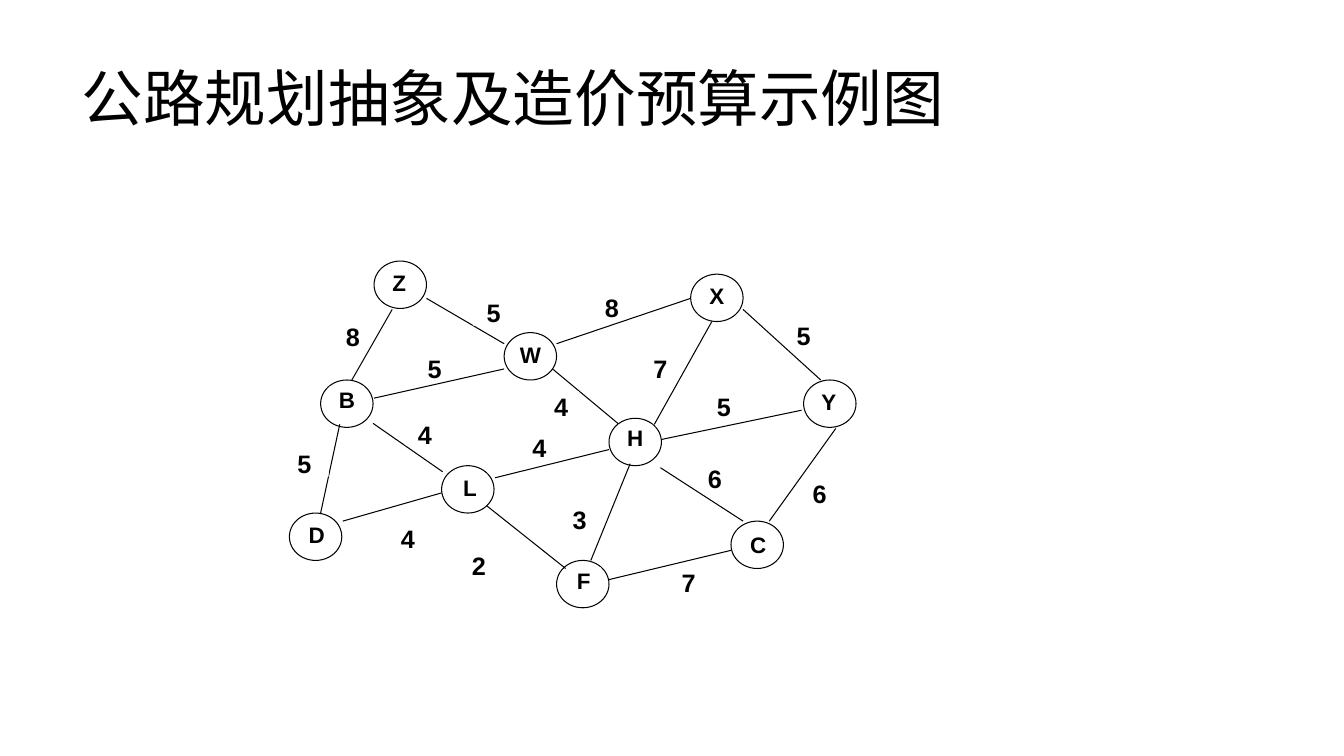
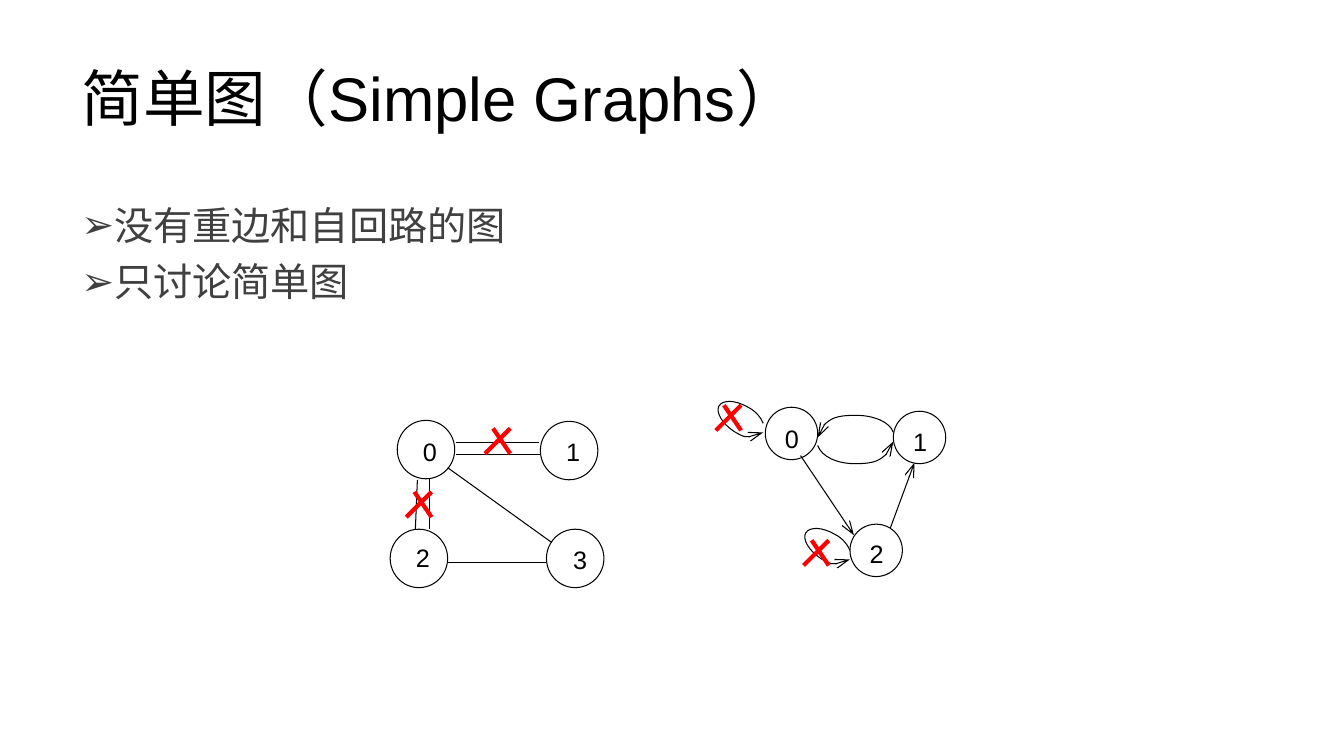
import pptx
import pptx.dml.color
import pptx.enum.shapes
import pptx.enum.text
import pptx.oxml.ns
import pptx.util
import lxml.etree

PX = 9144  # EMU; 100 px to the inch
BLACK, WHITE, GREY, RED = "000000", "FFFFFF", "404040", "FF0000"
rgb = pptx.dml.color.RGBColor.from_string
qn = pptx.oxml.ns.qn
SHAPES = pptx.enum.shapes.MSO_SHAPE
LEFT, CENTER = pptx.enum.text.PP_ALIGN.LEFT, pptx.enum.text.PP_ALIGN.CENTER
ANCHORS = pptx.enum.text.MSO_ANCHOR

TITLE = {"size": 44, "color": BLACK,
         "paragraph": {"alignment": LEFT, "line_spacing": 0.9}}
BULLET = {"size": 28, "color": GREY,
          "paragraph": {"alignment": LEFT, "line_spacing": 0.9,
                        "space_before": pptx.util.Pt(10)}}
CITY = {"size": 16, "color": BLACK, "bold": True, "paragraph": {"alignment": CENTER}}
COST = {**CITY, "size": 18}
VERTEX = {**COST, "bold": False}
LABEL_FRAME = {"margin_left": 0, "margin_right": 0, "margin_top": 0, "margin_bottom": 0,
               "vertical_anchor": ANCHORS.TOP, "word_wrap": True}


def write(paragraph, text, style):
    run = paragraph.add_run()
    run.text = text
    for name, value in style["paragraph"].items():
        setattr(paragraph, name, value)
    run.font.name = "Arial"
    run.font.size = pptx.util.Pt(style["size"])
    run.font.bold = style.get("bold", False)
    run.font.color.rgb = rgb(style["color"])


def outline(shape, color=BLACK, width=0.75, arrow=False):
    shape.line.color.rgb = rgb(color)
    shape.line.width = pptx.util.Pt(width)
    properties = shape._element.spPr
    if arrow:
        line = properties.find(qn("a:ln"))
        lxml.etree.SubElement(line, qn("a:tailEnd"), type="arrow", w="med", len="lg")
    lxml.etree.SubElement(properties, qn("a:effectLst"))


deck = pptx.Presentation()
deck.slide_width, deck.slide_height = 1333 * PX, 750 * PX

# Slides and titles
slides = []
for heading in ("公路规划抽象及造价预算示例图", "简单图（Simple Graphs）"):
    slide = deck.slides.add_slide(deck.slide_layouts[5])
    title = slide.shapes.title
    box = {"left": 71, "top": 28, "width": 1150, "height": 145}
    for name, value in box.items():
        setattr(title, name, value * PX)
    title.text_frame.vertical_anchor = ANCHORS.MIDDLE
    write(title.text_frame.paragraphs[0], heading, TITLE)
    slides.append(slide)
roads, simple = (slide.shapes for slide in slides)

# Rules for simple graphs
rules = simple.add_textbox(71 * PX, 200 * PX, 1150 * PX, 476 * PX).text_frame
rules.word_wrap = True
for number, rule in enumerate(("没有重边和自回路的图", "只讨论简单图")):
    paragraph = rules.add_paragraph() if number else rules.paragraphs[0]
    write(paragraph, rule, BULLET)
    indents = paragraph._p.get_or_add_pPr()
    indents.set("marL", str(25 * PX))
    indents.set("indent", str(-25 * PX))
    lxml.etree.SubElement(indents, qn("a:buFont"), typeface="Arial")
    lxml.etree.SubElement(indents, qn("a:buChar"), char="➢")

# Nodes: name, corner of the circle, corner of the name
cities = [("B", 318, 377, 327, 383), ("Z", 371, 259, 379, 267), ("L", 438, 462, 449, 470),
          ("W", 500, 330, 509, 338), ("X", 685, 272, 694, 280), ("D", 287, 509, 297, 517),
          ("Y", 797, 377, 805, 385), ("C", 725, 517, 735, 527), ("H", 604, 415, 613, 421),
          ("F", 552, 556, 562, 563)]
multigraph = [("2", 387, 525, 408, 538), ("1", 536, 418, 557, 433),
              ("3", 542, 525, 564, 540), ("0", 394, 417, 415, 433)]
digraph = [("2", 843, 520, 859, 534), ("1", 886, 408, 902, 423), ("0", 759, 404, 775, 420)]
labels = []
for shapes, nodes, circle_size, name_size, style in (
        (roads, cities, (52, 47), (34, 31), CITY),
        (simple, multigraph, (57, 58), (23, 25), VERTEX),
        (simple, digraph, (52, 52), (21, 22), VERTEX)):
    for name, x, y, name_x, name_y in nodes:
        node = shapes.add_shape(SHAPES.OVAL, *(v * PX for v in (x, y, *circle_size)))
        node.fill.solid()
        node.fill.fore_color.rgb = rgb(WHITE)
        outline(node)
        labels.append((shapes, name, (name_x, name_y, *name_size), style, name != "C"))

# Roads: both ends, cost, box of the cost
road_edges = [
    (423, 296, 500, 341, "5", 469, 295, 41, 28),
    (389, 307, 349, 377, "8", 333, 319, 34, 21),
    (552, 341, 685, 296, "8", 589, 290, 36, 22),
    (548, 366, 614, 421, "4", 539, 388, 35, 24),
    (737, 307, 814, 377, "5", 778, 318, 38, 21),
    (649, 421, 706, 319, "7", 638, 350, 34, 28),
    (656, 436, 795, 407, "5", 694, 388, 48, 28),
    (491, 474, 604, 446, "4", 517, 429, 36, 28),
    (655, 464, 737, 517, "6", 689, 460, 40, 27),
    (763, 517, 829, 425, "6", 796, 474, 34, 31),
    (604, 575, 725, 546, "7", 659, 563, 48, 28),
    (340, 517, 438, 489, "4", 382, 519, 45, 28),
    (483, 502, 561, 564, "2", 451, 546, 48, 28),
    (371, 395, 500, 366, "5", 413, 350, 36, 25),
    (370, 420, 439, 468, "4", 402, 416, 39, 26),
    (337, 421, 318, 509, "5", 278, 445, 48, 28),
    (586, 556, 625, 460, "3", 551, 500, 48, 28),
]
for *_, cost, x, y, width, height in road_edges:
    filled = (x, y) not in ((689, 460), (551, 500))
    labels.append((roads, cost, (x, y, width, height), COST, filled))

# Curved edges: a start, then three points for each cubic Bezier
self_loop = [(757, 420), (755, 415), (750, 408), (742, 404), (730, 397), (717, 396),
             (713, 403), (710, 409), (716, 420), (728, 428), (740, 435), (753, 435),
             (757, 429)]
curves = [
    [(811, 442), (815, 453), (830, 460), (848, 460), (869, 460), (886, 450), (886, 438)],
    [(886, 429), (883, 419), (867, 412), (849, 412), (828, 412), (811, 421), (811, 434)],
    [(x + 86, y + 126) for x, y in self_loop],
    self_loop,
]
for controls in curves:
    builder = simple.build_freeform(*controls[0], scale=PX)
    builder.add_line_segments(controls[1:], close=False)
    curve = builder.convert_to_shape()
    outline_path = next(curve._element.iter(qn("a:path")))
    segments = outline_path.findall(qn("a:lnTo"))
    for first in range(0, len(segments), 3):
        bezier = lxml.etree.SubElement(outline_path, qn("a:cubicBezTo"))
        for segment in segments[first:first + 3]:
            bezier.append(segment[0])
            outline_path.remove(segment)
    curve.fill.background()
    outline(curve, arrow=True)

# Straight edges
undirected = [(426, 475, 426, 525), (452, 439, 535, 439), (444, 464, 547, 538),
              (414, 476, 412, 525), (536, 451, 452, 451), (542, 558, 444, 558)]
directed = [(794, 452, 847, 531), (883, 524, 907, 459)]
crosses = []
for x, y in ((481, 425), (403, 488), (710, 402), (797, 536)):
    crosses += [(x + 8, y, x + 25, y + 25), (x + 25, y, x, y + 25)]
for shapes, edges, look in (
        (roads, [edge[:4] for edge in road_edges], {}),
        (simple, undirected, {}),
        (simple, directed, {"arrow": True}),
        (simple, crosses, {"color": RED, "width": 3})):
    for ends in edges:
        edge = shapes.add_connector(pptx.enum.shapes.MSO_CONNECTOR.STRAIGHT,
                                    *(value * PX for value in ends))
        outline(edge, **look)

# Names and costs, most of them on white
for shapes, text, place, style, filled in labels:
    area = [value * PX for value in place]
    if filled:
        label = shapes.add_shape(SHAPES.RECTANGLE, *area)
        label.fill.solid()
        label.fill.fore_color.rgb = rgb(WHITE)
        label.line.fill.background()
        label.shadow.inherit = False
    else:
        label = shapes.add_textbox(*area)
    for name, value in LABEL_FRAME.items():
        setattr(label.text_frame, name, value)
    write(label.text_frame.paragraphs[0], text, style)

deck.save("out.pptx")
